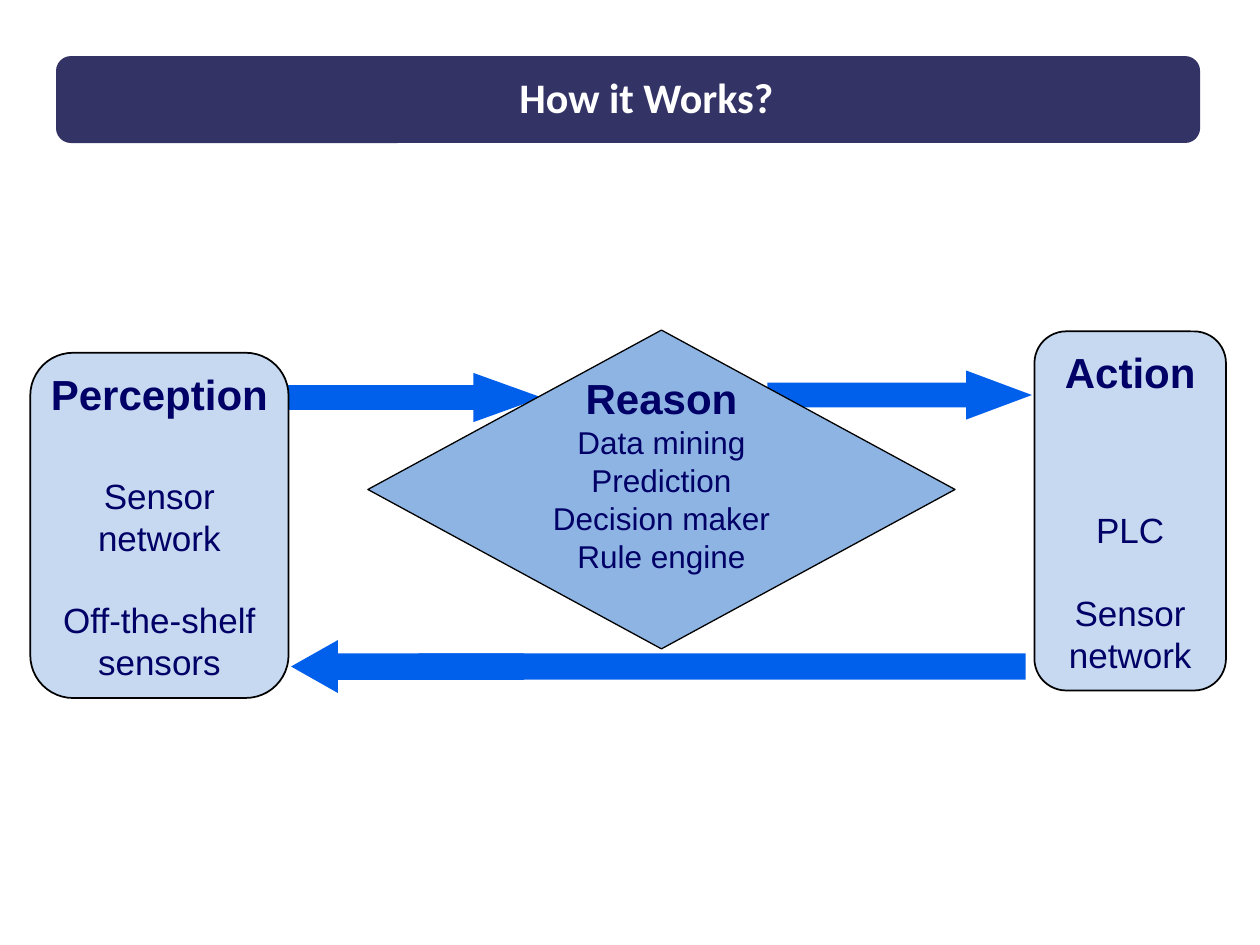
import pptx
import pptx.util
import pptx.dml.color
import pptx.enum.shapes
import pptx.enum.text

COLS, ROWS = 100, 75
HUES = {"navy": "333366", "ink": "000066", "pale": "C6D9F1", "mid": "8EB4E3",
        "blue": "0060EC", "black": "000000", "white": "FFFFFF"}
FORM = pptx.enum.shapes.MSO_SHAPE
ANCHOR = pptx.enum.text.MSO_ANCHOR

deck = pptx.Presentation()
deck.slide_width = pptx.util.Inches(10)
deck.slide_height = pptx.util.Inches(7.5)


def hue(name):
    return pptx.dml.color.RGBColor.from_string(HUES[name])


def place(box):
    x, y, w, h = box
    col, row = deck.slide_width / COLS, deck.slide_height / ROWS
    return [round(n) for n in (x * col, y * row, w * col, h * row)]


def draw(slide, form, box, fill, line=None, width=0.75, adjust=()):
    shape = slide.shapes.add_shape(form, *place(box))
    shape.shadow.inherit = False
    shape.fill.solid()
    shape.fill.fore_color.rgb = hue(fill)
    if line:
        shape.line.color.rgb = hue(line)
        shape.line.width = pptx.util.Pt(width)
    else:
        shape.line.fill.background()
    for i, share in enumerate(adjust):
        shape.adjustments[i] = share
    return shape


def write(frame, text, size=20, bold=False, font="Arial", color="ink", gap=0, space=1):
    part = frame.paragraphs[0]
    if part.runs:
        part = frame.add_paragraph()
    part.alignment = pptx.enum.text.PP_ALIGN.CENTER
    part.space_before = pptx.util.Pt(gap)
    part.line_spacing = space
    run = part.add_run()
    run.text = text
    run.font.size = pptx.util.Pt(size)
    run.font.bold = bold
    run.font.name = font
    run.font.color.rgb = hue(color)


def setup(frame, pads, anchor=ANCHOR.MIDDLE, wrap=False):
    frame.auto_size = pptx.enum.text.MSO_AUTO_SIZE.NONE
    frame.word_wrap = wrap
    frame.vertical_anchor = anchor
    (frame.margin_left, frame.margin_top,
     frame.margin_right, frame.margin_bottom) = map(pptx.util.Inches, pads)


def banner(slide, box, text):
    x, y, w, h = box
    back = draw(slide, FORM.ROUNDED_RECTANGLE, box, "navy", "navy", adjust=[0.167])
    title = slide.shapes.title
    title.left, title.top, title.width, title.height = place((x + 24.7, y + 0.7, 44.2, 4.9))
    title._element.addprevious(back._element)
    setup(title.text_frame, (0.09, 0.04, 0.09, 0.04), ANCHOR.TOP, True)
    write(title.text_frame, text, size=24, bold=True, font="Calibri", color="white", space=1.02)


def panel(slide, box, head, lines):
    shape = draw(slide, FORM.ROUNDED_RECTANGLE, box, "pale", "black", 1, [0.166])
    frame = shape.text_frame
    setup(frame, (0.1, 0.05, 0.1, 0.05))
    write(frame, head, size=24, bold=True)
    for text, gap in lines:
        write(frame, text, gap=gap)


def reason(slide, box, head, lines):
    frame = draw(slide, FORM.DIAMOND, box, "mid", "black").text_frame
    setup(frame, (0.1, 0, 0.1, 0.25))
    write(frame, head, size=24, bold=True)
    for text in lines:
        write(frame, text, size=18)


def forward(slide, box, tip):
    draw(slide, FORM.RIGHT_ARROW, box, "blue", adjust=[0.5, tip])


def feedback(slide, box):
    x, y, w, h = box
    draw(slide, FORM.RECTANGLE, (x + 10.1, y + h / 4, w - 10.1, h / 2), "blue")
    draw(slide, FORM.LEFT_ARROW, (x, y, 18.5, h), "blue", adjust=[0.5, 0.885])


def main():
    slide = deck.slides.add_slide(deck.slide_layouts[5])
    banner(slide, (4.5, 4.5, 90.7, 6.8), "How it Works?")
    forward(slide, (21.2, 29.6, 21.8, 3.9), 1.39)
    panel(slide, (2.4, 28, 20.5, 27.4), "Perception",
          [("Sensor", 32), ("network", 0), ("Off-the-shelf", 23), ("sensors", 0)])
    panel(slide, (82.1, 26.3, 15.2, 28.5), "Action",
          [("PLC", 64), ("Sensor", 23), ("network", 0)])
    forward(slide, (60.9, 29.4, 21, 3.9), 1.34)
    reason(slide, (29.2, 26.2, 46.6, 25.3), "Reason",
           ["Data mining", "Prediction", "Decision maker", "Rule engine"])
    feedback(slide, (23.1, 50.8, 58.3, 4.2))
    deck.save("out.pptx")


if __name__ == "__main__":
    main()
